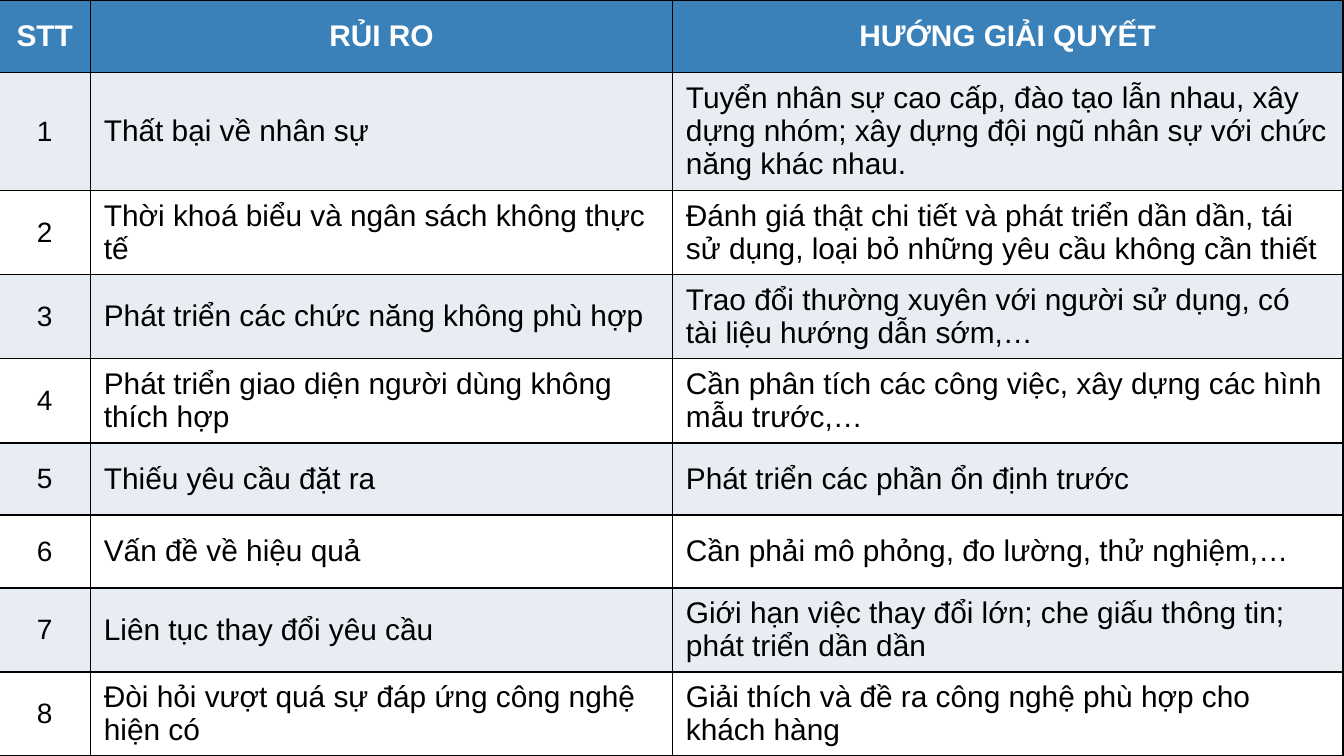
from pptx import Presentation
from pptx.dml.color import RGBColor as RGB
from pptx.enum.text import MSO_ANCHOR as Anchor, PP_ALIGN as Align
from pptx.oxml import parse_xml
from pptx.oxml.ns import nsdecls
from pptx.util import Cm, Pt

COLORS = {"head": "3A81BA", "band": "E8EDF3", "plain": "FFFFFF",
          "text": "000000", "line": "000000",
          "pale": "F5F9FC", "sky": "A4C7E3", "mist": "C2D9EC"}
STOPS = [(0, "pale"), (74, "sky"), (83, "sky"), (100, "mist")]
WIDTHS = [1.73, 11, 12.67]
LOW, MID, TALL = 1.37, 1.59, 2.23
HEAD = (LOW, "STT", "RỦI RO", "HƯỚNG GIẢI QUYẾT")
RISKS = [
    (TALL, "Thất bại về nhân sự",
     "Tuyển nhân sự cao cấp, đào tạo lẫn nhau, xây dựng nhóm; "
     "xây dựng đội ngũ nhân sự với chức năng khác nhau."),
    (MID, "Thời khoá biểu và ngân sách không thực tế",
     "Đánh giá thật chi tiết và phát triển dần dần, tái sử dụng, "
     "loại bỏ những yêu cầu không cần thiết"),
    (MID, "Phát triển các chức năng không phù hợp",
     "Trao đổi thường xuyên với người sử dụng, có tài liệu hướng dẫn sớm,…"),
    (MID, "Phát triển giao diện người dùng không thích hợp",
     "Cần phân tích các công việc, xây dựng các hình mẫu trước,…"),
    (LOW, "Thiếu yêu cầu đặt ra", "Phát triển các phần ổn định trước"),
    (LOW, "Vấn đề về hiệu quả", "Cần phải mô phỏng, đo lường, thử nghiệm,…"),
    (MID, "Liên tục thay đổi yêu cầu",
     "Giới hạn việc thay đổi lớn; che giấu thông tin; phát triển dần dần"),
    (MID, "Đòi hỏi vượt quá sự đáp ứng công nghệ hiện có",
     "Giải thích và đề ra công nghệ phù hợp cho khách hàng"),
]


def add_borders(cell):
    props = cell._tc.get_or_add_tcPr()
    for i, side in enumerate(("lnL", "lnR", "lnT", "lnB")):
        props.insert(i, parse_xml(
            f'<a:{side} {nsdecls("a")} w="{Pt(1)}"><a:solidFill>'
            f'<a:srgbClr val="{COLORS["line"]}"/></a:solidFill></a:{side}>'))


# Slide
deck = Presentation()
deck.slide_width, deck.slide_height = Cm(25.4), Cm(14.29)
slide = deck.slides.add_slide(deck.slide_layouts[6])

# Background gradient, running downwards
back = slide.background.fill
back.gradient()
back.gradient_angle = 270
stops = slide.background._cSld.find(".//{*}gsLst")
for stop in list(stops):
    stops.remove(stop)
for place, name in STOPS:
    stops.append(parse_xml(
        f'<a:gs {nsdecls("a")} pos="{place * 1000}">'
        f'<a:srgbClr val="{COLORS[name]}"/></a:gs>'))

# Table grid
rows = [HEAD] + [(risk[0], str(n), *risk[1:]) for n, risk in enumerate(RISKS, 1)]
high = sum(row[0] for row in rows)
table = slide.shapes.add_table(len(rows), len(WIDTHS), Cm(-0.02), Cm(0),
                               Cm(sum(WIDTHS)), Cm(high)).table
for column, width in zip(table.columns, WIDTHS):
    column.width = Cm(width)

# Cells: blue header, then banded rows with a centred number
for r, (height, *texts) in enumerate(rows):
    table.rows[r].height = Cm(height)
    top = r == 0
    fill = "head" if top else "band" if r % 2 else "plain"
    for c, text in enumerate(texts):
        cell = table.cell(r, c)
        cell.text = text
        cell.vertical_anchor = Anchor.MIDDLE
        cell.fill.solid()
        cell.fill.fore_color.rgb = RGB.from_string(COLORS[fill])
        add_borders(cell)
        para = cell.text_frame.paragraphs[0]
        para.alignment = Align.CENTER if top or c == 0 else Align.LEFT
        font = para.runs[0].font
        style = {"name": "Arial", "bold": top,
                 "size": Pt(15 if c == 0 and not top else 16)}
        for key, value in style.items():
            setattr(font, key, value)
        font.color.rgb = RGB.from_string(COLORS["plain" if top else "text"])

deck.save("out.pptx")
